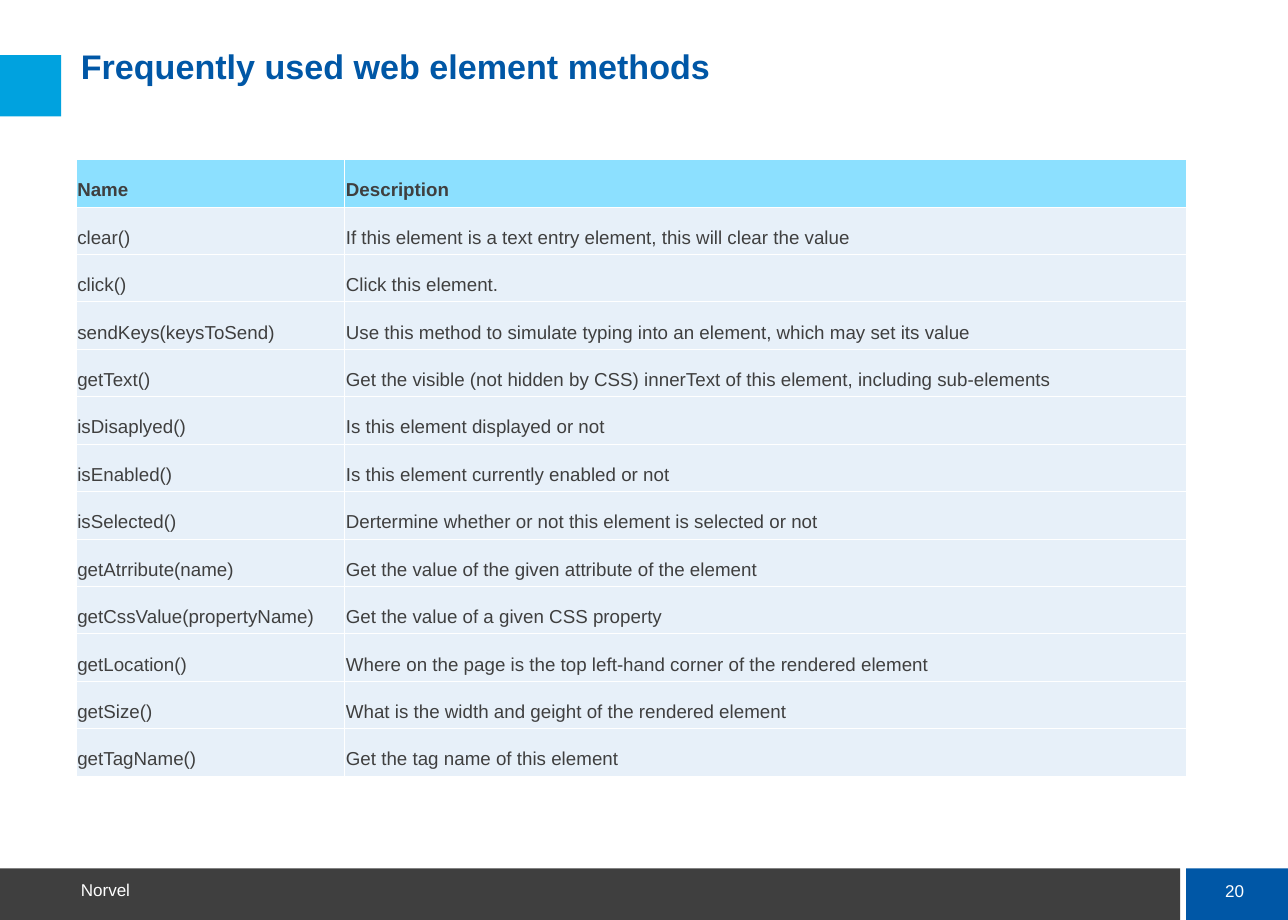
from dataclasses import dataclass

from lxml.etree import SubElement
from pptx import Presentation
from pptx.dml.color import RGBColor as RGB
from pptx.enum.shapes import MSO_SHAPE as SHAPE
from pptx.enum.text import MSO_ANCHOR as ANCHOR, PP_ALIGN as ALIGN
from pptx.oxml.ns import qn
from pptx.util import Inches, Pt

# Content
TITLE = "Frequently used web element methods"
FOOTER = "Norvel"
PAGE = "20"
METHODS = [
    ("Name", "Description"),
    ("clear()", "If this element is a text entry element, this will clear the value"),
    ("click()", "Click this element."),
    ("sendKeys(keysToSend)",
     "Use this method to simulate typing into an element, which may set its value"),
    ("getText()",
     "Get the visible (not hidden by CSS) innerText of this element, including sub-elements"),
    ("isDisaplyed()", "Is this element displayed or not"),
    ("isEnabled()", "Is this element currently enabled or not"),
    ("isSelected()", "Dertermine whether or not this element is selected or not"),
    ("getAtrribute(name)", "Get the value of the given attribute of the element"),
    ("getCssValue(propertyName)", "Get the value of a given CSS property"),
    ("getLocation()", "Where on the page is the top left-hand corner of the rendered element"),
    ("getSize()", "What is the width and geight of the rendered element"),
    ("getTagName()", "Get the tag name of this element"),
]


@dataclass(frozen=True)
class Theme:
    font: str = "Arial"
    blue: str = "0057A6"
    accent: str = "00A2DF"
    dark: str = "3F3F3F"
    white: str = "FFFFFF"
    header: str = "8CE0FF"
    body: str = "E7F0F9"
    title_size: float = 20
    table_size: float = 11
    footer_size: float = 10
    border: float = 0.45


THEME = Theme()

# Layout, in inches
SLIDE_W, SLIDE_H = 10.5, 7.5
BAR_TOP, BAR_W, PAGE_LEFT = 7.08, 9.62, 9.67
BAR_H = SLIDE_H - BAR_TOP
TEXT_LEFT = 0.66
TABLE_LEFT, TABLE_TOP, TABLE_H = 0.62, 1.3, 5.03
COL_WIDTHS = (2.19, 6.86)


def box(*lengths):
    return [Inches(n) for n in lengths]


def add_rect(s, at, color):
    sp = s.shapes.add_shape(SHAPE.RECTANGLE, *box(*at))
    sp.shadow.inherit = False
    sp.fill.solid()
    sp.fill.fore_color.rgb = RGB.from_string(color)
    sp.line.fill.background()


def add_run(p, text, size, color, bold=False):
    r = p.add_run()
    r.text = text
    r.font.name = THEME.font
    r.font.size = Pt(size)
    r.font.bold = bold
    r.font.color.rgb = RGB.from_string(color)


def add_text(s, at, text, size, color, anchor, bold=False, align=ALIGN.LEFT, spacing=1.0):
    tf = s.shapes.add_textbox(*box(*at)).text_frame
    tf.word_wrap = True
    tf.margin_left = tf.margin_top = tf.margin_right = tf.margin_bottom = 0
    tf.vertical_anchor = anchor
    p = tf.paragraphs[0]
    p.alignment = align
    p.line_spacing = spacing
    add_run(p, text, size, color, bold)


def set_borders(cell):
    tc_pr = cell._tc.get_or_add_tcPr()
    for i, side in enumerate(("lnL", "lnR", "lnT", "lnB")):
        ln = tc_pr.makeelement(qn(f"a:{side}"), {"w": str(Pt(THEME.border))})
        fill = SubElement(ln, qn("a:solidFill"))
        SubElement(fill, qn("a:srgbClr"), val=THEME.white)
        tc_pr.insert(i, ln)


def add_methods_table(s):
    at = (TABLE_LEFT, TABLE_TOP, sum(COL_WIDTHS), TABLE_H)
    table = s.shapes.add_table(len(METHODS), len(COL_WIDTHS), *box(*at)).table
    for column, width in zip(table.columns, COL_WIDTHS):
        column.width = Inches(width)
    for i, texts in enumerate(METHODS):
        is_header = i == 0
        table.rows[i].height = Inches(TABLE_H / len(METHODS))
        for j, text in enumerate(texts):
            cell = table.cell(i, j)
            cell.margin_left = cell.margin_right = Inches(0.01)
            cell.margin_top = cell.margin_bottom = Inches(0.05)
            cell.vertical_anchor = ANCHOR.BOTTOM
            cell.fill.solid()
            cell.fill.fore_color.rgb = RGB.from_string(
                THEME.header if is_header else THEME.body)
            set_borders(cell)
            add_run(cell.text_frame.paragraphs[0], text,
                    THEME.table_size, THEME.dark, is_header)


def main():
    prs = Presentation()
    prs.slide_width, prs.slide_height = box(SLIDE_W, SLIDE_H)
    s = prs.slides.add_slide(prs.slide_layouts[6])

    # Footer bar and page number
    add_rect(s, (0, BAR_TOP, BAR_W, BAR_H), THEME.dark)
    add_rect(s, (PAGE_LEFT, BAR_TOP, SLIDE_W - PAGE_LEFT, BAR_H), THEME.blue)
    add_text(s, (9.82, 7.13, 0.49, 0.27), PAGE, THEME.footer_size, THEME.white,
             ANCHOR.MIDDLE, align=ALIGN.CENTER)
    add_text(s, (TEXT_LEFT, 7.15, 4.19, 0.19), FOOTER, THEME.footer_size, THEME.white,
             ANCHOR.BOTTOM)

    # Title with its accent square
    add_rect(s, (0, 0.45, 0.5, 0.5), THEME.accent)
    add_text(s, (TEXT_LEFT, 0.41, 8.96, 0.66), TITLE, THEME.title_size, THEME.blue,
             ANCHOR.TOP, bold=True, spacing=0.9)

    # Methods table
    add_methods_table(s)
    prs.save("out.pptx")


if __name__ == "__main__":
    main()
